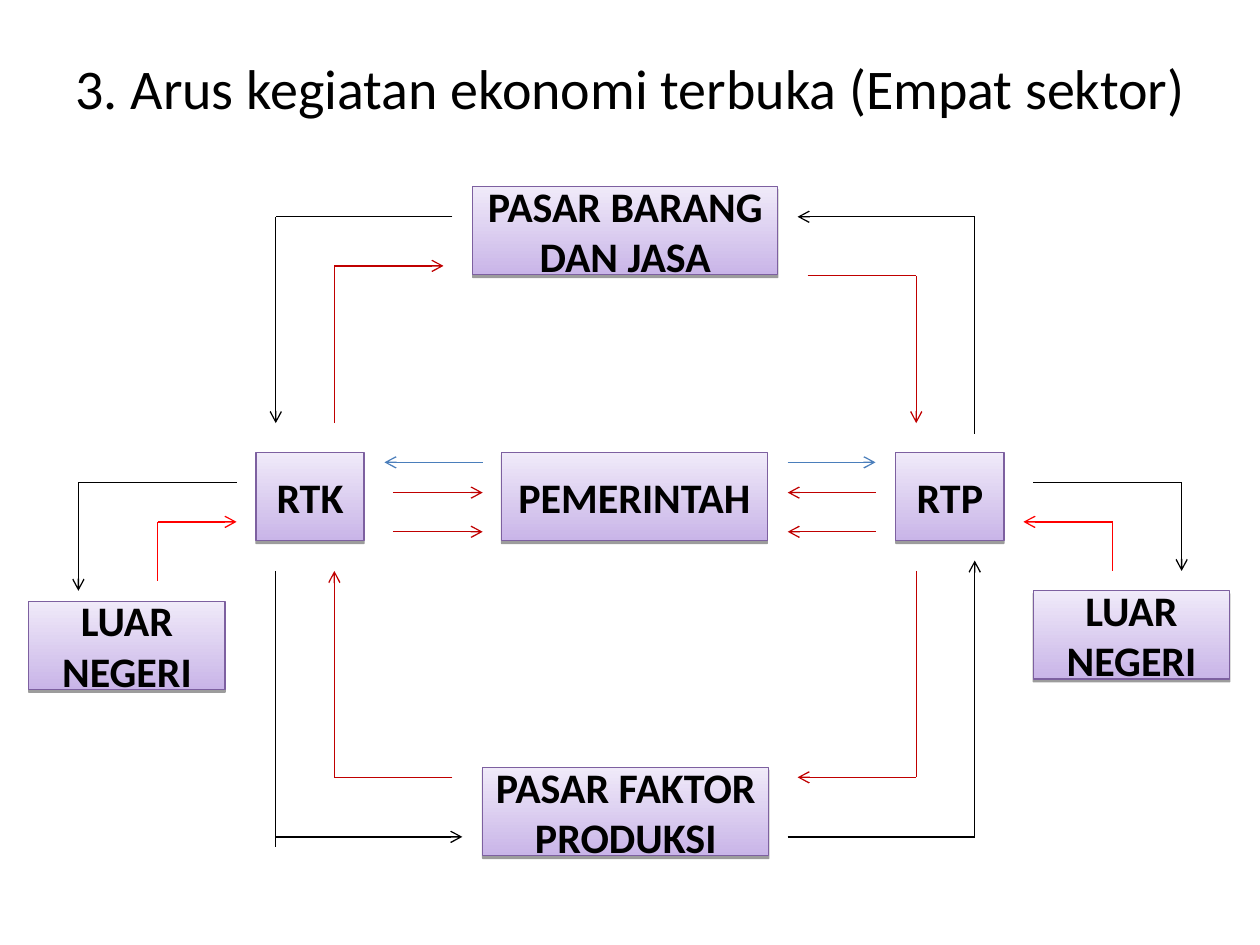
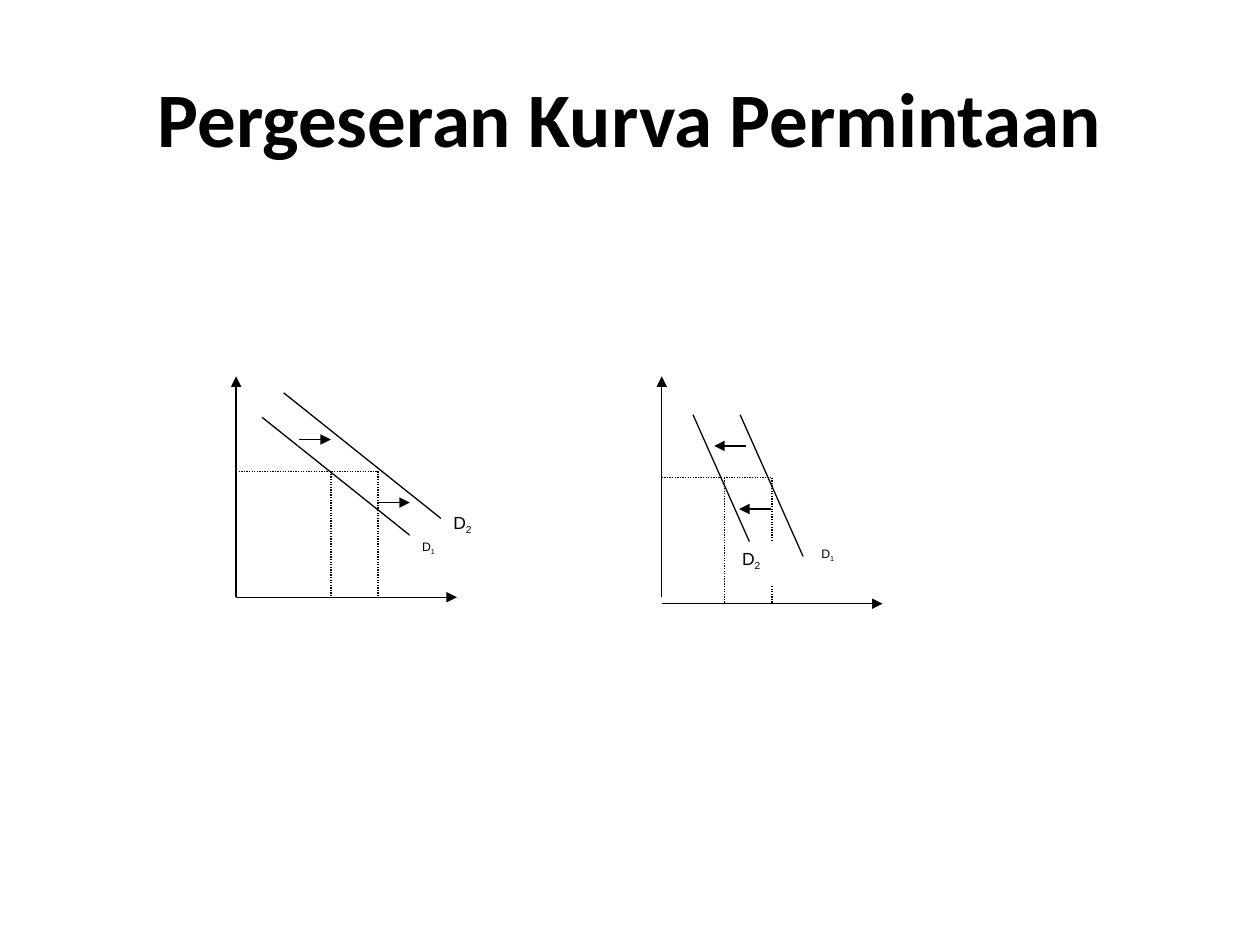
from lxml.etree import SubElement
from pptx import Presentation
from pptx.dml.color import RGBColor
from pptx.enum.dml import MSO_LINE
from pptx.enum.shapes import MSO_CONNECTOR, MSO_SHAPE
from pptx.enum.text import MSO_ANCHOR, MSO_AUTO_SIZE, PP_ALIGN
from pptx.oxml.ns import qn
from pptx.util import Cm, Pt

BLACK, WHITE = "000000", "FFFFFF"
CRIMSON, RED, BLUE = "C00000", "FF0000", "4A7EBB"
LILAC, PALE, PURPLE = "C9B5E8", "F0EAF9", "7D60A0"
TITLE_ONLY = 5
BOX_TALL = 1.78
AXIS = 4.45
SHIFT = 0.64


def paint(color, code):
    color.rgb = RGBColor.from_string(code)


def style(para, size, name="Calibri", bold=False, align=PP_ALIGN.CENTER):
    para.alignment = align
    font = para.font
    font.size, font.name, font.bold = Pt(size), name, bold
    paint(font.color, BLACK)


def new_slide(deck, text, size, wide, tall, **look):
    slide = deck.slides.add_slide(deck.slide_layouts[TITLE_ONLY])
    title = slide.shapes.title
    title.left, title.top = Cm(1.27), Cm(0.76)
    title.width, title.height = Cm(wide), Cm(tall)
    frame = title.text_frame
    frame.text = text
    frame.auto_size = MSO_AUTO_SIZE.NONE
    frame.vertical_anchor = MSO_ANCHOR.MIDDLE
    style(frame.paragraphs[0], size, **look)
    return slide


def rect(slide, left, top, wide, tall):
    shape = slide.shapes.add_shape(
        MSO_SHAPE.RECTANGLE, Cm(left), Cm(top), Cm(wide), Cm(tall))
    shape.shadow.inherit = False
    return shape


def sector(slide, text, left, top, wide):
    """Shaded box that names one sector or market."""
    box = rect(slide, left, top, wide, BOX_TALL)
    box.fill.gradient()
    box.fill.gradient_angle = 90
    for stop, code in zip(box.fill.gradient_stops, (LILAC, PALE)):
        paint(stop.color, code)
    paint(box.line.color, PURPLE)
    box.line.width = Pt(0.75)
    # Thin shadow straight below the box
    effects = box._element.spPr.find(qn("a:effectLst"))
    shadow = SubElement(effects, qn("a:outerShdw"), blurRad="0",
                        dist="20000", dir="5400000", rotWithShape="0")
    shade = SubElement(shadow, qn("a:srgbClr"), val=BLACK)
    SubElement(shade, qn("a:alpha"), val="38000")
    frame = box.text_frame
    frame.word_wrap = True
    frame.vertical_anchor = MSO_ANCHOR.MIDDLE
    frame.text = text
    style(frame.paragraphs[0], 24, bold=True)


def line(slide, start, end, code=BLACK, tip=None, dash=None):
    link = slide.shapes.add_connector(
        MSO_CONNECTOR.STRAIGHT, *(Cm(v) for v in (*start, *end)))
    paint(link.line.color, code)
    link.line.width = Pt(0.75)
    if dash:
        link.line.dash_style = dash
    props = link._element.spPr
    if tip:
        SubElement(props.find(qn("a:ln")), qn("a:tailEnd"), type=tip)
    SubElement(props, qn("a:effectLst"))


def flow(slide, code, *points):
    """Path through the points, with an arrow at its end."""
    for i, (start, end) in enumerate(zip(points, points[1:]), 2):
        line(slide, start, end, code, "arrow" if i == len(points) else None)


def label(slide, digit, left, top):
    """Curve name D with a subscript; D1 is set smaller than D2."""
    small = digit == "1"
    tag = rect(slide, left, top, 0.97, 0.64 if small else 0.89)
    tag.fill.solid()
    paint(tag.fill.fore_color, WHITE)
    tag.line.fill.background()
    frame = tag.text_frame
    frame.word_wrap = True
    frame.vertical_anchor = MSO_ANCHOR.TOP
    para = frame.paragraphs[0]
    para.add_run().text = "D"
    sub = para.add_run()
    sub.text = digit
    sub._r.get_or_add_rPr().set("baseline", "-25000")
    style(para, 7 if small else 10, "Arial", align=PP_ALIGN.LEFT)
    if small:
        para.line_spacing = 0.8


def graph(slide, left, base, amounts, slope, curves, shifts, move, tags):
    """Demand graph: axes, guides, two curves, shift arrows and names."""
    foot, price = 12.04, base - 2.54
    line(slide, (left, foot), (left, foot - AXIS), tip="triangle")
    line(slide, (left, base), (left + AXIS, base), tip="triangle")
    # Dotted guides for the price and both amounts
    dots = MSO_LINE.ROUND_DOT
    line(slide, (left, price), (max(amounts), price), dash=dots)
    for x in amounts:
        line(slide, (x, price), (x, base), dash=dots)
    run, drop = slope
    for x, y in curves:
        line(slide, (x, y), (x + run, y + drop))
    for x, y in shifts:
        line(slide, (x, y), (x + move, y), tip="triangle")
    for digit, x, y in tags:
        label(slide, digit, x, y)


def economy(deck):
    slide = new_slide(deck, "3. Arus kegiatan ekonomi terbuka (Empat sektor)",
                      32, 23.55, 2.01, align=PP_ALIGN.LEFT)
    for box in (
        ("PASAR BARANG DAN JASA", 9.53, 3.76, 6.15),
        ("LUAR NEGERI", 20.83, 11.91, 3.96),
        ("LUAR NEGERI", 0.58, 12.12, 3.96),
        ("PASAR FAKTOR PRODUKSI", 9.73, 15.47, 5.77),
        ("RTP", 18.06, 9.12, 2.18),
        ("PEMERINTAH", 10.11, 9.12, 5.36),
        ("RTK", 5.16, 9.12, 2.18),
    ):
        sector(slide, *box)

    # Outer black loop
    west, east, north, south = 5.56, 19.65, 4.37, 16.87
    line(slide, (west, 11.51), (west, 17.07))
    flow(slide, BLACK, (west, south), (9.32, south))
    flow(slide, BLACK, (15.88, south), (east, south), (east, 11.3))
    flow(slide, BLACK, (east, 8.74), (east, north), (16.08, north))
    flow(slide, BLACK, (9.12, north), (west, north), (west, 8.53))

    # Inner dark red loop
    west, east, south = 6.74, 18.47, 15.67
    flow(slide, CRIMSON, (west, 8.53), (west, 5.36), (8.94, 5.36))
    flow(slide, CRIMSON, (16.28, 5.56), (east, 5.56), (east, 8.53))
    flow(slide, CRIMSON, (east, 11.51), (east, south), (16.08, south))
    flow(slide, CRIMSON, (9.12, south), (west, south), (west, 11.51))

    # To and from the government
    for y in (10.72, 9.93):
        flow(slide, CRIMSON, (7.92, y), (9.73, y))
        flow(slide, CRIMSON, (17.65, y), (15.88, y))
    for start, end in ((9.73, 7.75), (15.88, 17.65)):
        flow(slide, BLUE, (start, 9.32), (end, 9.32))

    # To and from abroad
    flow(slide, RED, (3.18, 11.71), (3.18, 10.52), (4.77, 10.52))
    flow(slide, BLACK, (4.77, 9.73), (1.58, 9.73), (1.58, 11.91))
    flow(slide, RED, (22.43, 11.51), (22.43, 10.52), (20.63, 10.52))
    flow(slide, BLACK, (20.83, 9.73), (23.82, 9.73), (23.82, 11.51))


def demand(deck):
    slide = new_slide(deck, "Pergeseran Kurva Permintaan",
                      44, 22.86, 3.18, bold=True)
    # Demand rises
    graph(slide, 4.76, 12.04, amounts=(6.67, 7.62), slope=(3.18, 2.54),
          curves=((5.28, 8.41), (5.72, 7.92)),
          shifts=((6.03, 8.86), (7.62, 10.13)), move=SHIFT,
          tags=(("1", 8.26, 10.77), ("2", 8.89, 10.19)))
    # Demand falls
    graph(slide, 13.34, 12.17, amounts=(14.61, 15.56), slope=(1.27, 2.86),
          curves=((13.97, 8.36), (14.92, 8.36)),
          shifts=((15.04, 8.99), (15.54, 10.26)), move=-SHIFT,
          tags=(("2", 14.71, 10.92), ("1", 16.31, 10.92)))


def main():
    deck = Presentation()
    deck.slide_width, deck.slide_height = Cm(25.4), Cm(19.05)
    economy(deck)
    demand(deck)
    deck.save("out.pptx")


if __name__ == "__main__":
    main()
